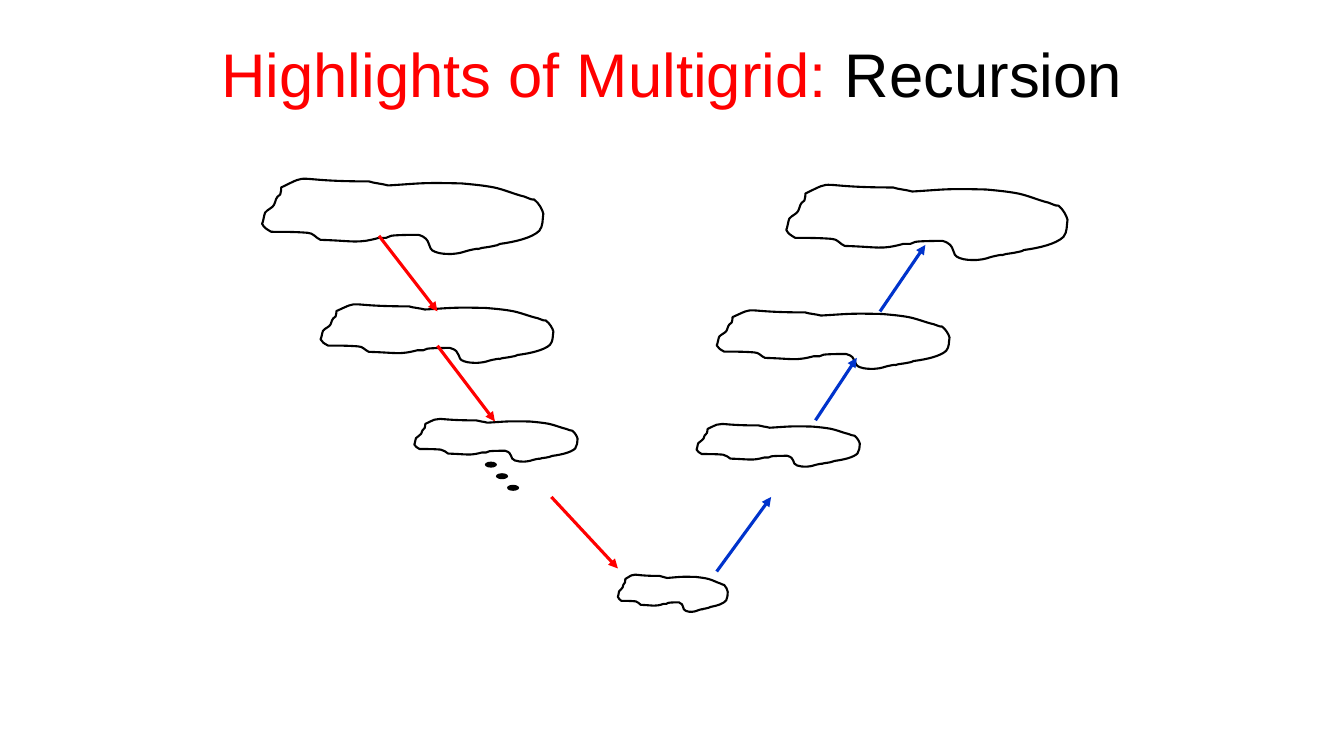
import dataclasses
import itertools

import lxml.etree
import pptx
import pptx.dml.color
import pptx.enum.shapes
import pptx.enum.text
import pptx.oxml.ns
import pptx.util

# Grid: square cells of a tenth of an inch
CELL = pptx.util.Inches(0.1)
COLUMNS, ROWS = 133.33, 75
BLACK, RED, BLUE = "000000", "FF0000", "0033CC"

# Domain outline: a start point, then three points for each Bezier curve
OUTLINE_WIDTH, OUTLINE_HEIGHT = 279, 81
OUTLINE = [
    (19, 15),
    (50, 0), (26, 9), (106, 9), (112, 11), (118, 11), (125, 13),
    (158, 11), (157, 10), (198, 11), (209, 12), (220, 13), (230, 15),
    (240, 17), (251, 22), (260, 24), (262, 25), (263, 25), (265, 26),
    (266, 27), (269, 27), (270, 27), (275, 31), (278, 37), (279, 41),
    (278, 47), (279, 53), (275, 58), (268, 65), (251, 69), (236, 71),
    (234, 72), (232, 73), (230, 73), (226, 74), (218, 75), (218, 75),
    (208, 78), (221, 74), (207, 77), (198, 79), (200, 80), (188, 81),
    (183, 81), (177, 81), (172, 79), (162, 76), (170, 66), (155, 62),
    (154, 62), (133, 62), (128, 63), (126, 64), (125, 64), (123, 65),
    (121, 65), (118, 65), (116, 65), (94, 71), (92, 68), (58, 67),
    (53, 65), (51, 60), (45, 60), (33, 59), (21, 59), (9, 59),
    (4, 56), (2, 55), (0, 51), (1, 50), (2, 42), (3, 40),
    (5, 37), (11, 35), (12, 32), (14, 28), (13, 25), (18, 22),
    (19, 17), (19, 19), (19, 15),
]


@dataclasses.dataclass(frozen=True)
class Level:
    """Size of the domain at one level, and its places on the V."""
    width: float
    height: float
    places: tuple[tuple[float, float], ...]


@dataclasses.dataclass(frozen=True)
class Arrow:
    start: tuple[float, float]
    end: tuple[float, float]
    color: str


LEVELS = [
    Level(27.9, 8.1, ((26, 17.1), (78, 17.7))),
    Level(23.1, 6.3, ((31.8, 29.7), (71.1, 30.3))),
    Level(16.2, 4.6, ((41.1, 41.2), (69.1, 41.7))),
    Level(10.9, 4, ((61.3, 56.7),)),
]
ARROWS = [
    Arrow((37.6, 23.4), (43.4, 30.9), RED),
    Arrow((43.4, 34.3), (49.1, 41.8), RED),
    Arrow((54.7, 49.3), (61.3, 56.4), RED),
    Arrow((71.1, 56.7), (76.5, 49.3), BLUE),
    Arrow((80.9, 41.7), (85, 35.5), BLUE),
    Arrow((87.3, 30.9), (91.8, 24.3), BLUE),
]


def cells(count: float) -> int:
    return round(count * CELL)


def rgb(color: str) -> pptx.dml.color.RGBColor:
    return pptx.dml.color.RGBColor.from_string(color)


def add_span(para, text: str, *, color: str, size: float = 44, font: str = "Arial") -> None:
    span = para.add_run()
    span.text = text
    span.font.name = font
    span.font.size = pptx.util.Pt(size)
    span.font.bold = False
    span.font.color.rgb = rgb(color)


def format_line(line, color: str, width: float) -> None:
    line.color.rgb = rgb(color)
    line.width = pptx.util.Pt(width)


def draw_domain(page, level: Level, left: float, top: float) -> None:
    scale = (cells(level.width) / OUTLINE_WIDTH, cells(level.height) / OUTLINE_HEIGHT)
    builder = page.shapes.build_freeform(*OUTLINE[0], scale=scale)
    builder.add_line_segments(OUTLINE[1:], close=False)
    domain = builder.convert_to_shape(cells(left), cells(top))
    domain.shadow.inherit = False
    domain.fill.background()
    format_line(domain.line, BLACK, 1.5)

    # Join each three straight segments into one curve, then close the path
    name = pptx.oxml.ns.qn
    outline = next(domain.element.iter(name("a:path")))
    segments = outline.findall(name("a:lnTo"))
    for first in range(0, len(segments), 3):
        curve = lxml.etree.SubElement(outline, name("a:cubicBezTo"))
        for segment in segments[first:first + 3]:
            curve.append(segment[0])
            outline.remove(segment)
    lxml.etree.SubElement(outline, name("a:close"))


def draw_arrow(page, arrow: Arrow) -> None:
    ends = [cells(value) for value in itertools.chain(arrow.start, arrow.end)]
    connector = page.shapes.add_connector(pptx.enum.shapes.MSO_CONNECTOR.STRAIGHT, *ends)
    format_line(connector.line, arrow.color, 2.25)
    name = pptx.oxml.ns.qn
    properties = connector.element.spPr
    lxml.etree.SubElement(properties.find(name("a:ln")), name("a:tailEnd"), type="triangle")
    lxml.etree.SubElement(properties, name("a:effectLst"))


def draw_dot(page, left: float, top: float) -> None:
    dot = page.shapes.add_shape(pptx.enum.shapes.MSO_SHAPE.OVAL,
                                cells(left), cells(top), cells(1.2), cells(0.6))
    dot.shadow.inherit = False
    dot.fill.solid()
    dot.fill.fore_color.rgb = rgb(BLACK)
    dot.line.fill.background()


deck = pptx.Presentation()
deck.slide_width, deck.slide_height = cells(COLUMNS), cells(ROWS)
page = deck.slides.add_slide(deck.slide_layouts.get_by_name("Title Only"))

# Title
title = page.shapes.title
title.left, title.top = cells(13.8), cells(2.5)
title.width, title.height = cells(105.7), cells(6.7)
box = title.text_frame
box.word_wrap = True
box.auto_size = pptx.enum.text.MSO_AUTO_SIZE.NONE
box.vertical_anchor = pptx.enum.text.MSO_ANCHOR.TOP
box.margin_top, box.margin_bottom = cells(1.1), 0
para = box.paragraphs[0]
para.alignment = pptx.enum.text.PP_ALIGN.CENTER
add_span(para, "Highlights of Multigrid: ", color=RED)
add_span(para, "Recursion", color=BLACK)

# Domains, from the finest level to the coarsest
for level in LEVELS:
    for left, top in level.places:
        draw_domain(page, level, left, top)

# Arrows down and up the V
for arrow in ARROWS:
    draw_arrow(page, arrow)

# Dots for the levels left out
for step in range(3):
    draw_dot(page, 48.1 + 1.1 * step, 45.8 + 1.15 * step)

deck.save("out.pptx")
